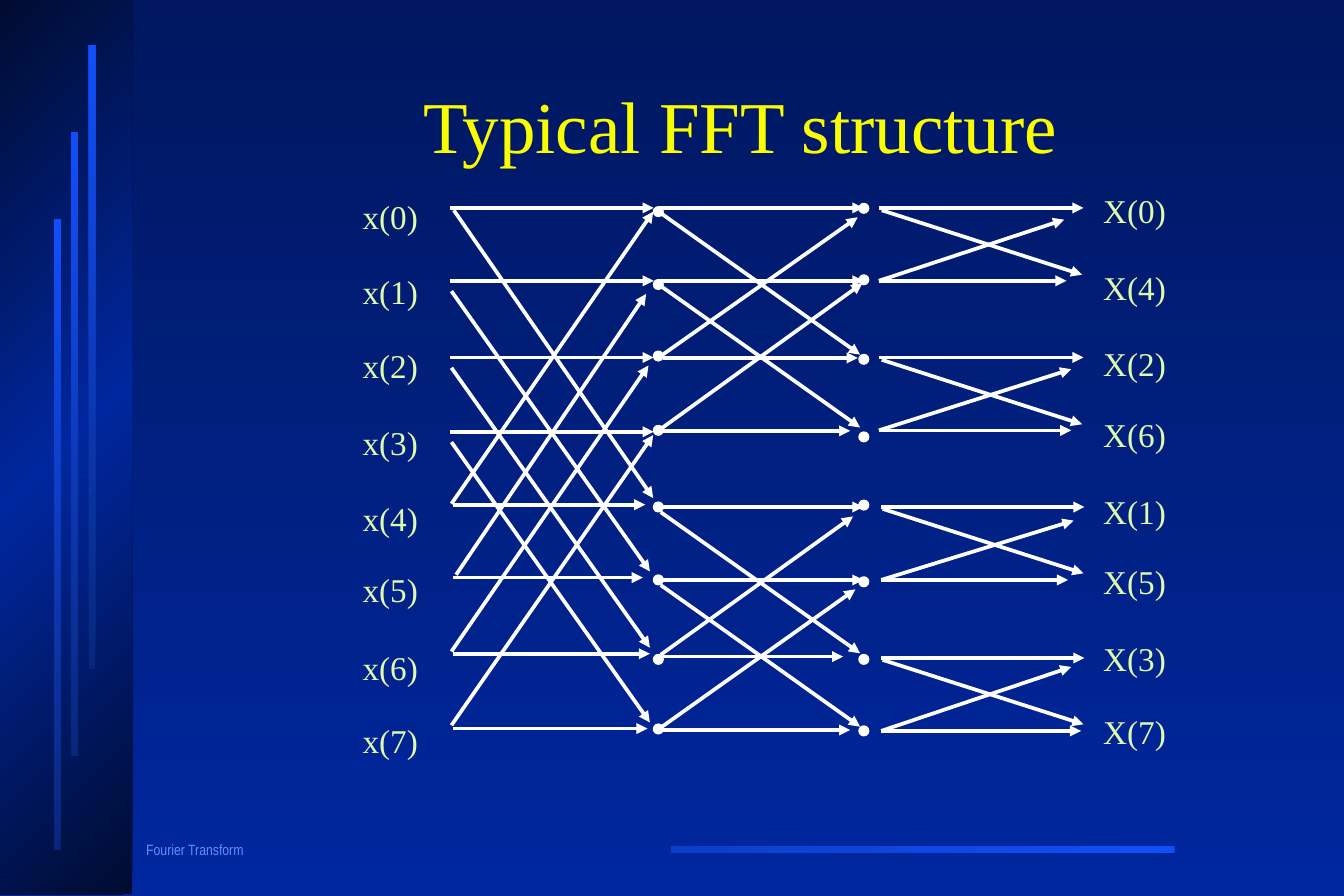
"""Build the slide showing the butterfly structure of an eight-point FFT."""
import copy

import pptx
import pptx.dml.color
import pptx.enum.shapes
import pptx.enum.text
import pptx.oxml
import pptx.oxml.ns
import pptx.util

Cm = pptx.util.Cm

THEME = {
    "background": ("00175F", "00279F"),
    "panel": ("000B2F", "00279F", "000B2F"),
    "stripe": ("08277C", "114FFB"),
    "rule": ("114FFB", "0D3EC8"),
    "title": ("Times New Roman", 44, "FAFD00"),
    "label": ("Times New Roman", 20, "DEFAAC"),
    "footer": ("Arial Narrow", 9, "618FFD"),
    "flow": "FFFFFF",
    "flow_width": 2.25,
    "node_width": 1,
}
TITLE = "Typical FFT structure"
FOOTER = "Fourier Transform"

PANEL = (0, 0, 2.81, 19.02)
RULE = (14.28, 17.99, 10.7, 0.14)
STRIPES = [(1.15, 4.66, 0.14, 13.41), (1.52, 2.81, 0.14, 13.26), (1.89, 0.96, 0.14, 13.26)]

LABELS = [
    (7.46, 1.68, ["x(0)", "x(1)", "x(2)", "x(3)", "x(4)", "x(5)", "x(6)", "x(7)"],
     [4.04, 5.64, 7.21, 8.85, 10.46, 11.99, 13.64, 15.19]),
    (23.21, 1.9, ["X(0)", "X(4)", "X(2)", "X(6)", "X(1)", "X(5)", "X(3)", "X(7)"],
     [3.92, 5.55, 7.17, 8.69, 10.32, 11.82, 13.44, 14.99]),
]
NODES = [
    (14.0, [4.5, 6.05, 7.57, 9.15, 10.78, 12.33, 14.02, 15.5]),
    (18.37, [4.43, 5.95, 7.64, 9.29, 10.74, 12.37, 14.02, 15.54]),
]
NODE_SIZE = 0.2

STAGES = [
    {"span": 4,
     "rows": [4.42, 5.97, 7.6, 9.18, 10.73, 12.28, 13.9, 15.49],
     "starts": [9.56] * 4 + [9.63] * 4,
     "tips": [13.9] * 4 + [13.72, 13.67, 13.82, 13.77],
     "down": [(9.65, 0.05, 13.89, -0.14)] + [(9.6, 0.22, 13.82, -0.13)] * 3,
     "up": [(9.6, -0.02, 13.89, 0.08), (9.7, -0.06, 13.74, 0.28),
            (9.6, -0.05, 13.79, 0.17), (9.6, -0.07, 13.89, 0.07)]},
    {"span": 2,
     "rows": [4.42, 5.97, 7.61, 9.16, 10.78, 12.33, 13.96, 15.52],
     "starts": [14.02, 14.02, 14.1, 14.1] * 2,
     "tips": [18.36, 18.36, 18.24, 18.08, 18.36, 18.36, 17.93, 18.08],
     "down": [(14.05, 0.11, 18.29, -0.07)] * 4,
     "up": [(14.05, -0.04, 18.24, 0.2), (14.05, -0.04, 18.34, 0.05),
            (14.05, -0.04, 18.14, 0.2), (14.05, -0.05, 18.19, 0.2)]},
    {"span": 1,
     "rows": [4.42, 5.97, 7.6, 9.15, 10.78, 12.33, 13.99, 15.54],
     "starts": [18.69] * 4 + [18.74] * 4,
     "tips": [23.04, 22.68, 23.04, 22.78, 23.06, 22.71, 23.06, 22.99],
     "down": [(18.75, 0.05, 23.01, -0.13)] * 2 + [(18.77, 0.04, 23.04, -0.14)] * 2,
     "up": [(18.69, 0, 22.63, 0.25), (18.69, 0, 22.78, 0.25),
            (18.74, 0, 22.83, 0.29), (18.74, 0, 22.78, 0.19)]},
]


def rgb(colour):
    """Turn a hex string into a colour."""
    return pptx.dml.color.RGBColor.from_string(colour)


def blend(fill, element, colours, angle):
    """Give a fill evenly spaced gradient colours."""
    fill.gradient()
    fill.gradient_angle = angle
    stop_list = next(element.iter(pptx.oxml.ns.qn("a:gsLst")))
    for _ in colours[2:]:
        stop_list.insert(1, copy.deepcopy(stop_list[0]))
    for index, (stop, colour) in enumerate(zip(fill.gradient_stops, colours)):
        stop.color.rgb = rgb(colour)
        stop.position = index / (len(colours) - 1)


def add_bar(slide, box, colours):
    """Add a borderless gradient rectangle."""
    kind = pptx.enum.shapes.MSO_SHAPE.RECTANGLE
    bar = slide.shapes.add_shape(kind, *map(Cm, box))
    bar.shadow.inherit = False
    bar.line.fill.background()
    blend(bar.fill, bar._element, colours, 135)


def add_text(slide, box, words, style, wrap=True, spacing=1.0):
    """Add one line of styled text and return its box."""
    font_name, size, colour = THEME[style]
    holder = slide.shapes.add_textbox(*map(Cm, box))
    holder.text_frame.word_wrap = wrap
    if not wrap:
        holder.text_frame.auto_size = pptx.enum.text.MSO_AUTO_SIZE.SHAPE_TO_FIT_TEXT
    holder.text_frame.text = words
    paragraph = holder.text_frame.paragraphs[0]
    paragraph.line_spacing = spacing
    font = paragraph.runs[0].font
    font.name, font.size = font_name, pptx.util.Pt(size)
    font.color.rgb = rgb(colour)
    return holder


def add_flow(slide, x0, y0, x1, y1):
    """Add one signal arrow."""
    straight = pptx.enum.shapes.MSO_CONNECTOR.STRAIGHT
    flow = slide.shapes.add_connector(straight, *map(Cm, (x0, y0, x1, y1)))
    flow.line.color.rgb = rgb(THEME["flow"])
    flow.line.width = pptx.util.Pt(THEME["flow_width"])
    head = pptx.oxml.ns.qn("a:tailEnd")
    flow.line._get_or_add_ln().append(flow._element.makeelement(head, {"type": "triangle"}))
    no_effect = pptx.oxml.ns.qn("a:effectLst")
    flow._element.spPr.append(flow._element.makeelement(no_effect, {}))


def add_stage(slide, stage):
    """Add the straight and crossing arrows of one stage."""
    span, rows = stage["span"], stage["rows"]
    for start, tip, y in zip(stage["starts"], stage["tips"], rows):
        add_flow(slide, start, y, tip, y)
    tops = [row for row in range(len(rows)) if row // span % 2 == 0]
    for row, down, up in zip(tops, stage["down"], stage["up"]):
        upper, lower = rows[row], rows[row + span]
        for (x0, leave, x1, arrive), y0, y1 in ((down, upper, lower), (up, lower, upper)):
            add_flow(slide, x0, y0 + leave, x1, y1 + arrive)


def add_node(slide, x, y):
    """Add one summing node centred on a point."""
    box = (x - NODE_SIZE / 2, y - NODE_SIZE / 2, NODE_SIZE, NODE_SIZE)
    node = slide.shapes.add_shape(pptx.enum.shapes.MSO_SHAPE.OVAL, *map(Cm, box))
    node.shadow.inherit = False
    node.fill.solid()
    node.fill.fore_color.rgb = rgb(THEME["flow"])
    node.line.color.rgb = rgb(THEME["flow"])
    node.line.width = pptx.util.Pt(THEME["node_width"])


def main():
    """Assemble and save the slide."""
    deck = pptx.Presentation()
    deck.slide_width, deck.slide_height = Cm(28.58), Cm(19.05)
    slide = deck.slides.add_slide(deck.slide_layouts[6])
    blend(slide.background.fill, slide._element, THEME["background"], 270)

    add_text(slide, (2.86, 17.78, 3.81, 0.58), FOOTER, "footer", spacing=0.9)
    add_bar(slide, RULE, THEME["rule"])
    add_bar(slide, PANEL, THEME["panel"])
    for stripe in STRIPES:
        add_bar(slide, stripe, THEME["stripe"])

    title = add_text(slide, (4.41, 1.19, 22.68, 3.18), TITLE, "title", spacing=0.85)
    title.text_frame.vertical_anchor = pptx.enum.text.MSO_ANCHOR.MIDDLE
    title.text_frame.paragraphs[0].alignment = pptx.enum.text.PP_ALIGN.CENTER

    for stage in reversed(STAGES):
        add_stage(slide, stage)
    for x, heights in NODES:
        for y in heights:
            add_node(slide, x, y)
    for left, width, signals, tops in LABELS:
        for signal, top in zip(signals, tops):
            add_text(slide, (left, top, width, 1.12), signal, "label", wrap=False)
    deck.save("out.pptx")


if __name__ == "__main__":
    main()
